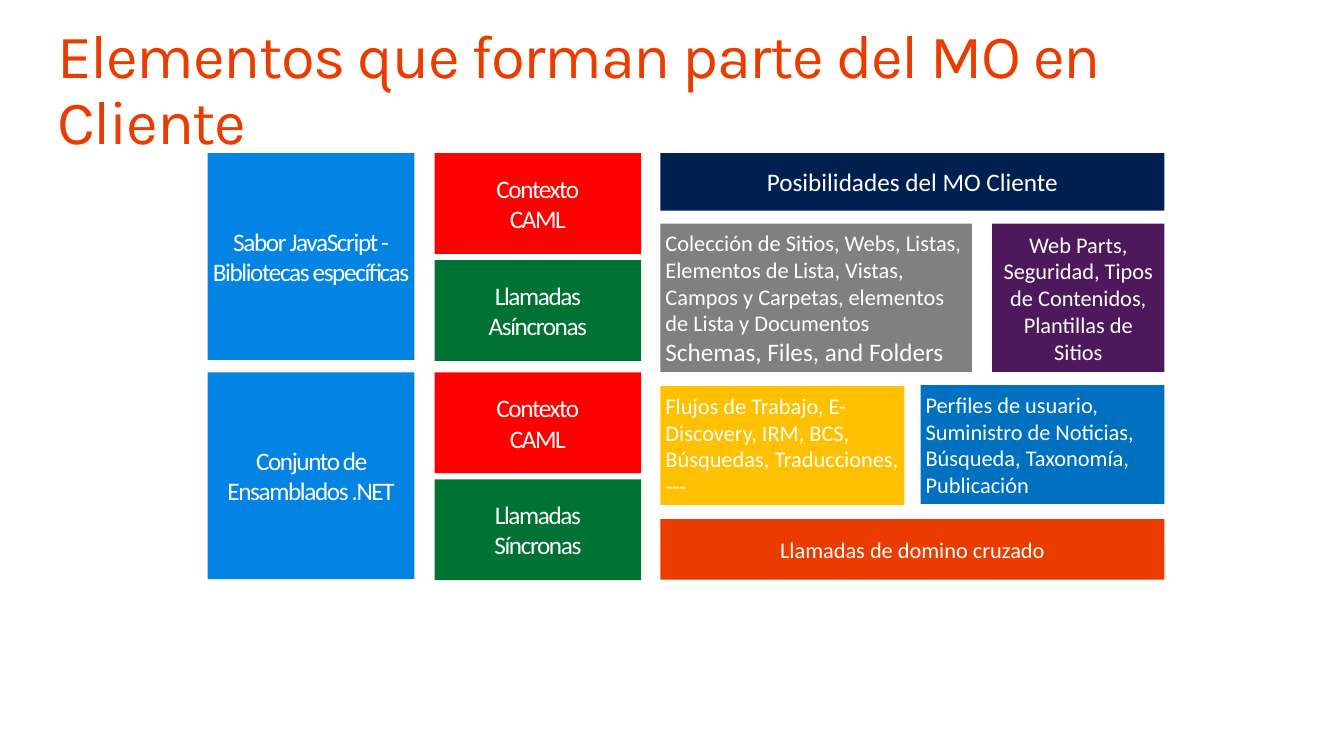
import pptx
import pptx.util
import pptx.dml.color
import pptx.enum.shapes
import pptx.enum.text

Inches = pptx.util.Inches
ALIGN = pptx.enum.text.PP_ALIGN
ANCHOR = pptx.enum.text.MSO_ANCHOR
WHITE = "FFFFFF"


def color(code):
    return pptx.dml.color.RGBColor.from_string(code)


def style(para, size, font, code, tight):
    for run in para.runs:
        run.font.size = pptx.util.Pt(size)
        run.font.name = font
        run.font.color.rgb = color(code)
        if tight:
            run.font._element.set("spc", "-100")


def frame(shape, inset, anchor):
    text = shape.text_frame
    text.word_wrap = True
    text.vertical_anchor = anchor
    text.margin_left = text.margin_right = Inches(inset)
    text.margin_top = text.margin_bottom = Inches(inset)
    return text


def title(slide, words):
    box = slide.shapes.add_textbox(Inches(0.57), Inches(0.25), Inches(12.19), Inches(0.82))
    text = frame(box, 0, ANCHOR.TOP)
    text.text = words
    text.paragraphs[0].line_spacing = 0.9
    style(text.paragraphs[0], 44, "Karla", "EB3C00", True)


def tile(slide, area, fill, words, size=16, align=ALIGN.CENTER, tight=False):
    shape = slide.shapes.add_shape(
        pptx.enum.shapes.MSO_SHAPE.RECTANGLE, *[Inches(n) for n in area])
    shape.shadow.inherit = False
    shape.fill.solid()
    shape.fill.fore_color.rgb = color(fill)
    shape.line.fill.background()
    text = frame(shape, 0.05, ANCHOR.MIDDLE)
    text.text = words
    for para in text.paragraphs:
        para.alignment = align
        style(para, size, "Calibri", WHITE, tight)
    return shape


def main():
    deck = pptx.Presentation()
    deck.slide_width, deck.slide_height = Inches(13.33), Inches(7.5)
    slide = deck.slides.add_slide(deck.slide_layouts[6])
    title(slide, "Elementos que forman parte del MO en Cliente")

    # Client flavours, each with its context and its kind of call
    flavors = [
        ("Sabor JavaScript -\nBibliotecas específicas", "Asíncronas"),
        ("Conjunto de Ensamblados .NET", "Síncronas"),
    ]
    for row, (name, call) in enumerate(flavors):
        top = 1.52 + row * 2.175
        tile(slide, (2.06, top, 2.05, 2.05), "0384E4", name, 18, tight=True)
        tile(slide, (4.31, top, 2.05, 1), "FF0000", "Contexto\nCAML", 18, tight=True)
        tile(slide, (4.31, top + 1.06, 2.05, 1), "007233", "Llamadas\n" + call, 18, tight=True)

    # Header and footer bars of the right-hand block
    tile(slide, (6.55, 1.52, 5, 0.57), "002050", "Posibilidades del MO Cliente", 18)
    tile(slide, (6.55, 5.15, 5, 0.6), "EB3C00", "Llamadas de domino cruzado")

    # Capabilities
    lists = tile(
        slide, (6.55, 2.22, 3.09, 1.47), "808080",
        "Colección de Sitios, Webs, Listas, Elementos de Lista, Vistas, "
        "Campos y Carpetas, elementos de Lista y Documentos\n"
        "Schemas, Files, and Folders", align=ALIGN.LEFT)
    style(lists.text_frame.paragraphs[1], 18, "Calibri", WHITE, False)
    tile(slide, (9.84, 2.22, 1.71, 1.47), "4E195C",
         "Web Parts, Seguridad, Tipos de Contenidos, Plantillas de Sitios")
    tile(slide, (6.55, 3.83, 2.42, 1.18), "FFC000",
         "Flujos de Trabajo, E-Discovery, IRM, BCS, Búsquedas, Traducciones, ---",
         align=ALIGN.LEFT)
    tile(slide, (9.13, 3.82, 2.42, 1.18), "0070C0",
         "Perfiles de usuario, Suministro de Noticias, Búsqueda, Taxonomía, Publicación",
         align=ALIGN.LEFT)

    deck.save("out.pptx")


if __name__ == "__main__":
    main()
